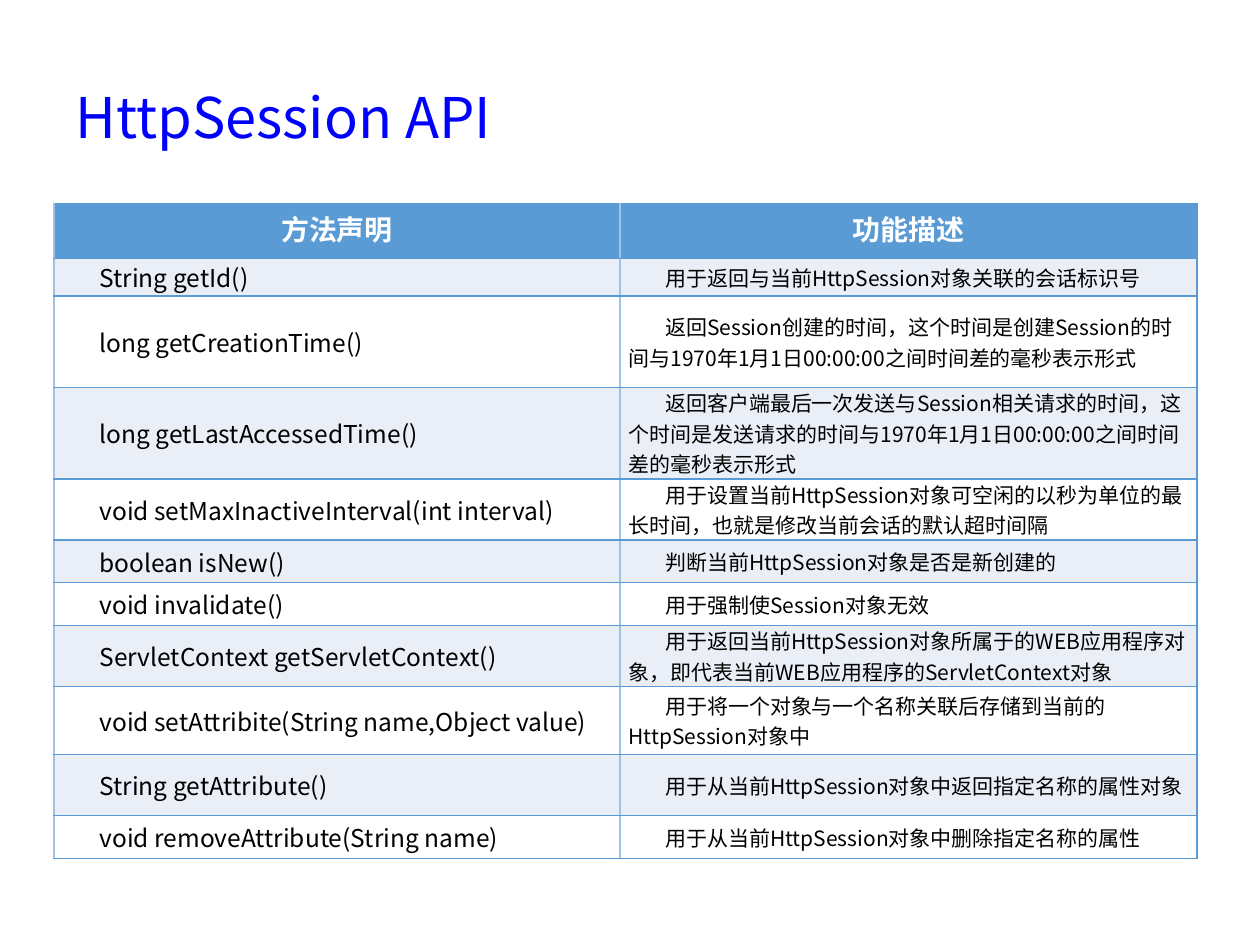
from dataclasses import dataclass

from lxml import etree
from pptx import Presentation
from pptx.dml.color import RGBColor
from pptx.enum.text import MSO_ANCHOR, MSO_AUTO_SIZE, PP_ALIGN
from pptx.oxml.ns import qn
from pptx.util import Inches, Pt

LEFT, CENTER = PP_ALIGN.LEFT, PP_ALIGN.CENTER
MIDDLE = MSO_ANCHOR.MIDDLE
NO_FIT = MSO_AUTO_SIZE.NONE
TITLE_ONLY = 5


@dataclass(frozen=True)
class Theme:
    font: str = "Noto Sans CJK SC"
    header_font: str = "Calibri"
    title_color: str = "0000FF"
    text_color: str = "000000"
    white: str = "FFFFFF"
    accent: str = "5B9BD5"
    divider: str = "9DC3E6"
    band: str = "EAEFF7"
    title_size: int = 32
    header_size: int = 16
    method_size: int = 14
    description_size: int = 12
    border_width: int = 1


THEME = Theme()

HEADERS = ("方法声明", "功能描述")
# Method, description and row height in inches
METHODS = [
    ("String getId()", "用于返回与当前HttpSession对象关联的会话标识号", 0.3),
    ("long getCreationTime()",
     "返回Session创建的时间，这个时间是创建Session的时间与1970年1月1日00:00:00之间时间差的毫秒表示形式", 0.47),
    ("long getLastAccessedTime()",
     "返回客户端最后一次发送与Session相关请求的时间，这个时间是发送请求的时间与1970年1月1日00:00:00之间时间差的毫秒表示形式", 0.7),
    ("void setMaxInactiveInterval(int interval)",
     "用于设置当前HttpSession对象可空闲的以秒为单位的最长时间，也就是修改当前会话的默认超时间隔", 0.47),
    ("boolean isNew()", "判断当前HttpSession对象是否是新创建的", 0.34),
    ("void invalidate()", "用于强制使Session对象无效", 0.34),
    ("ServletContext getServletContext()",
     "用于返回当前HttpSession对象所属于的WEB应用程序对象，即代表当前WEB应用程序的ServletContext对象", 0.47),
    ("void setAttribite(String name,Object value)",
     "用于将一个对象与一个名称关联后存储到当前的HttpSession对象中", 0.54),
    ("String getAttribute()", "用于从当前HttpSession对象中返回指定名称的属性对象", 0.34),
    ("void removeAttribute(String name)", "用于从当前HttpSession对象中删除指定名称的属性", 0.34),
]
HEADER_HEIGHT = 0.43
METHOD_COLUMN_SHARE = 0.495


def add_span(para, text, font, size, color, bold=False):
    span = para.add_run()
    span.text = text
    span.font.size = Pt(size)
    span.font.bold = bold
    span.font.color.rgb = RGBColor.from_string(color)
    span.font.name = font
    # East Asian characters use the same typeface
    etree.SubElement(span.font._element, qn("a:ea"), typeface=font)


def set_borders(cell, colors):
    properties = cell._tc.get_or_add_tcPr()
    for side, color in zip("LRTB", colors):
        line = etree.SubElement(properties, qn(f"a:ln{side}"), w=str(Pt(THEME.border_width)))
        fill = etree.SubElement(line, qn("a:solidFill"))
        etree.SubElement(fill, qn("a:srgbClr"), val=color)


def style_cell(cell, column, fill, margins):
    right = THEME.divider if column == 0 else THEME.accent
    set_borders(cell, (THEME.divider, right, THEME.accent, THEME.accent))
    cell.fill.solid()
    cell.fill.fore_color.rgb = RGBColor.from_string(fill)
    cell.vertical_anchor = MIDDLE
    cell.margin_left = cell.margin_right = Inches(margins[0])
    cell.margin_top = cell.margin_bottom = Inches(margins[1])


def fill_header_cell(cell, column, text):
    style_cell(cell, column, THEME.accent, (0.1, 0.05))
    para = cell.text_frame.paragraphs[0]
    para.alignment = CENTER
    add_span(para, text, THEME.header_font, THEME.header_size, THEME.white, bold=True)


def fill_body_cell(cell, column, text, fill):
    style_cell(cell, column, fill, (0.07, 0))
    para = cell.text_frame.paragraphs[0]
    para.alignment = LEFT
    indent = para._p.get_or_add_pPr()
    indent.set("marL", "0")
    indent.set("indent", str(Inches(0.29)))
    size = THEME.description_size if column else THEME.method_size
    add_span(para, text, THEME.font, size, THEME.text_color)


def place_title(page, box, text):
    title = page.shapes.title
    title.left, title.top, title.width, title.height = box
    frame = title.text_frame
    frame.auto_size = NO_FIT
    frame.vertical_anchor = MIDDLE
    para = frame.paragraphs[0]
    para.alignment = LEFT
    add_span(para, text, THEME.font, THEME.title_size, THEME.title_color)


def place_method_table(page, box):
    table = page.shapes.add_table(len(METHODS) + 1, len(HEADERS), *box).table
    width = box[2]
    table.columns[0].width = int(width * METHOD_COLUMN_SHARE)
    table.columns[1].width = width - table.columns[0].width

    # Header row
    table.rows[0].height = Inches(HEADER_HEIGHT)
    for column, text in enumerate(HEADERS):
        fill_header_cell(table.cell(0, column), column, text)

    # Banded method rows
    for row, (method, description, height) in enumerate(METHODS, start=1):
        table.rows[row].height = Inches(height)
        fill = THEME.band if row % 2 else THEME.white
        for column, text in enumerate((method, description)):
            fill_body_cell(table.cell(row, column), column, text, fill)


def main():
    deck = Presentation()
    deck.slide_width, deck.slide_height = Inches(10), Inches(7.5)
    page = deck.slides.add_slide(deck.slide_layouts[TITLE_ONLY])
    place_title(page, (Inches(0.5), Inches(0.3), Inches(9), Inches(1.25)), "HttpSession API")
    place_method_table(page, (Inches(0.43), Inches(1.62), Inches(9.07), Inches(4.72)))
    deck.save("out.pptx")


if __name__ == "__main__":
    main()
